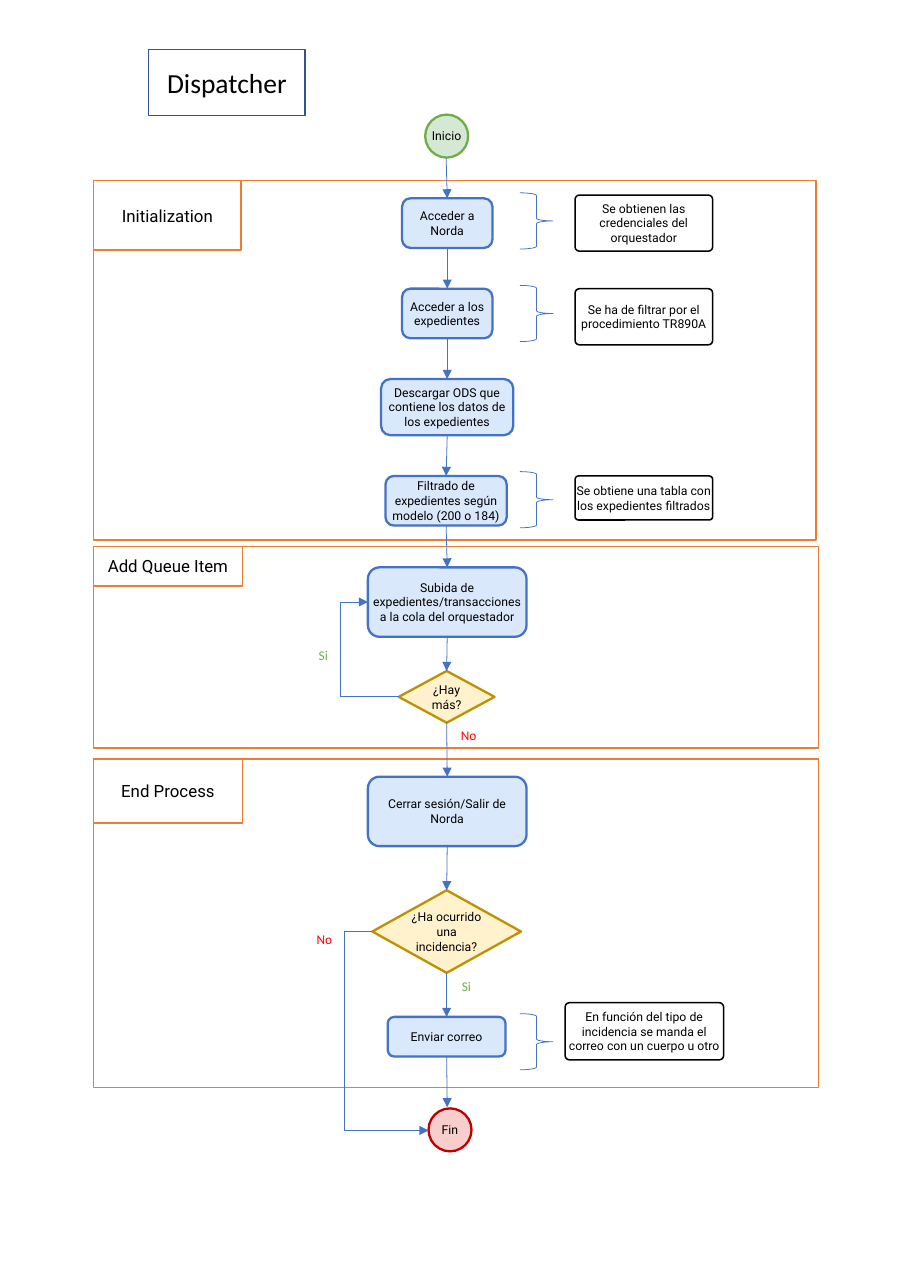
from lxml import etree
from pptx import Presentation
from pptx.dml.color import RGBColor
from pptx.enum.shapes import MSO_CONNECTOR, MSO_SHAPE
from pptx.enum.text import MSO_ANCHOR, PP_ALIGN
from pptx.oxml.ns import qn
from pptx.util import Inches, Pt

RECT = MSO_SHAPE.RECTANGLE
FRAME = MSO_SHAPE.FLOWCHART_PROCESS
ROUND = MSO_SHAPE.ROUNDED_RECTANGLE
DIAMOND = MSO_SHAPE.FLOWCHART_DECISION
CIRCLE = MSO_SHAPE.FLOWCHART_CONNECTOR
BRACE = MSO_SHAPE.LEFT_BRACE
LINE = MSO_CONNECTOR.STRAIGHT
ELBOW = MSO_CONNECTOR.ELBOW
MIDDLE = MSO_ANCHOR.MIDDLE
CENTER = PP_ALIGN.CENTER
TOP, LEFT, BOTTOM = 0, 1, 2

COLORS = {
    "black": "000000", "white": "FFFFFF", "navy": "325491",
    "blue": "4472C4", "sky": "DAE8FC", "orange": "ED7D31",
    "gold": "BF9000", "cream": "FFF2CC", "green": "70AD47",
    "mint": "D5E8D4", "wine": "C00000", "pink": "F8CECC", "red": "FF0000",
}


def color(name):
    return RGBColor.from_string(COLORS[name])


def write(shape, text, size=8, font="Roboto", ink="black", wrap=True):
    frame = shape.text_frame
    frame.word_wrap = wrap
    frame.vertical_anchor = MIDDLE
    frame.margin_left = frame.margin_right = 0
    frame.margin_top = frame.margin_bottom = 0
    para = frame.paragraphs[0]
    para.alignment = CENTER
    run = para.add_run()
    run.text = text
    run.font.size = Pt(size)
    run.font.name = font
    run.font.color.rgb = color(ink)


def draw(slide, kind, box, line, fill=None, width=1.5):
    shape = slide.shapes.add_shape(kind, *map(Inches, box))
    shape.shadow.inherit = False
    shape.line.color.rgb = color(line)
    shape.line.width = Pt(width)
    if fill:
        shape.fill.solid()
        shape.fill.fore_color.rgb = color(fill)
    else:
        shape.fill.background()
    return shape


def add_stage(slide, text, box, tab):
    """Orange frame with its name in the top left corner."""
    draw(slide, FRAME, box, "orange", width=1)
    label = draw(slide, FRAME, (*box[:2], *tab), "orange", width=1)
    write(label, text, 11, wrap=False)


def add_node(slide, kind, text, box, line, fill):
    node = draw(slide, kind, box, line, fill)
    write(node, text)
    return node


def add_step(slide, text, box):
    return add_node(slide, ROUND, text, box, "blue", "sky")


def add_choice(slide, text, box):
    return add_node(slide, DIAMOND, text, box, "gold", "cream")


def add_note(slide, text, box, top):
    """Side note with the brace that ties it to its step."""
    brace = draw(slide, BRACE, (4.72, top, 0.3, 0.51), "blue", width=0.5)
    brace.rotation = 180
    note = draw(slide, ROUND, box, "black", "white", 1)
    note.adjustments[0] = 0.079
    write(note, text)


def add_answer(slide, text, ink, left, top):
    box = slide.shapes.add_textbox(
        Inches(left), Inches(top), Inches(0.15), Inches(0.15))
    write(box, text, 8.7, "Calibri", ink, wrap=False)


def add_arrow(slide, start, end, kind=LINE, bend=None):
    """Each end is an (x, y) point or a (shape, side) pair."""
    ends = [(0, 0) if hasattr(e[0], "shape_id") else e for e in (start, end)]
    arrow = slide.shapes.add_connector(
        kind, *[Inches(n) for point in ends for n in point])
    if hasattr(start[0], "shape_id"):
        arrow.begin_connect(*start)
    if hasattr(end[0], "shape_id"):
        arrow.end_connect(*end)
    arrow.line.color.rgb = color("blue")
    arrow.line.width = Pt(0.5)
    props = arrow.line._get_or_add_ln()
    etree.SubElement(props, qn("a:tailEnd"), type="triangle")
    etree.SubElement(arrow._element.spPr, qn("a:effectLst"))
    if bend is not None:
        guides = arrow._element.spPr.find(qn("a:prstGeom")).find(qn("a:avLst"))
        etree.SubElement(guides, qn("a:gd"), name="adj1",
                         fmla=f"val {round(bend * 100000)}")


def main():
    deck = Presentation()
    deck.slide_width = Inches(8.27)
    deck.slide_height = Inches(11.69)
    slide = deck.slides.add_slide(deck.slide_layouts[6])

    # Title and stages
    title = draw(slide, RECT, (1.35, 0.45, 1.42, 0.6), "navy", "white", 1)
    write(title, "Dispatcher", 18, "Calibri")
    add_stage(slide, "Initialization", (0.85, 1.64, 6.56, 3.26), (1.34, 0.63))
    add_stage(slide, "Add Queue Item", (0.85, 4.96, 6.58, 1.83), (1.35, 0.36))
    add_stage(slide, "End Process", (0.85, 6.89, 6.58, 2.98), (1.35, 0.58))

    # Start and end
    add_node(slide, CIRCLE, "Inicio", (3.86, 1.04, 0.39, 0.39),
             "green", "mint")
    add_node(slide, CIRCLE, "Fin", (3.89, 10.06, 0.39, 0.39), "wine", "pink")

    # Steps and choices, from top to bottom
    load = add_step(slide, "Subida de expedientes/transacciones "
                    "a la cola del orquestador", (3.34, 5.15, 1.44, 0.63))
    more = add_choice(slide, "¿Hay más?", (3.62, 6.09, 0.87, 0.47))
    issue = add_choice(slide, "¿Ha ocurrido una incidencia?",
                       (3.38, 8.08, 1.35, 0.75))
    mail = add_step(slide, "Enviar correo", (3.52, 9.23, 1.07, 0.36))
    flow = [
        add_step(slide, "Acceder a Norda", (3.65, 1.8, 0.82, 0.45)),
        add_step(slide, "Acceder a los expedientes", (3.65, 2.62, 0.82, 0.45)),
        add_step(slide, "Descargar ODS que contiene los datos de "
                 "los expedientes", (3.46, 3.44, 1.2, 0.51)),
        add_step(slide, "Filtrado de expedientes según modelo (200 o 184)",
                 (3.5, 4.32, 1.1, 0.45)),
        load,
        more,
        add_step(slide, "Cerrar sesión/Salir de Norda",
                 (3.34, 7.05, 1.44, 0.63)),
        issue,
        mail,
    ]

    # Arrows
    add_arrow(slide, (4.05, 1.43), (flow[0], TOP))
    for upper, lower in zip(flow, flow[1:]):
        add_arrow(slide, (upper, BOTTOM), (lower, TOP))
    add_arrow(slide, (mail, BOTTOM), (4.06, 10.05))
    add_arrow(slide, (more, LEFT), (load, LEFT), ELBOW, 1.88)
    add_arrow(slide, (issue, LEFT), (3.89, 10.26), ELBOW, -0.49)

    # Answers
    add_answer(slide, "Si", "green", 2.86, 5.87)
    add_answer(slide, "No", "red", 4.18, 6.6)
    add_answer(slide, "No", "red", 2.87, 8.45)
    add_answer(slide, "Si", "green", 4.16, 8.88)

    # Notes
    add_note(slide, "Se obtienen las credenciales del orquestador",
             (5.22, 1.77, 1.25, 0.51), 1.75)
    add_note(slide, "Se ha de filtrar por el procedimiento TR890A",
             (5.22, 2.62, 1.25, 0.51), 2.59)
    add_note(slide, "Se obtiene una tabla con los expedientes filtrados",
             (5.22, 4.32, 1.25, 0.4), 4.28)
    add_note(slide, "En función del tipo de incidencia se manda el correo "
             "con un cuerpo u otro", (5.13, 9.1, 1.44, 0.52), 9.2)

    deck.save("out.pptx")


if __name__ == "__main__":
    main()
